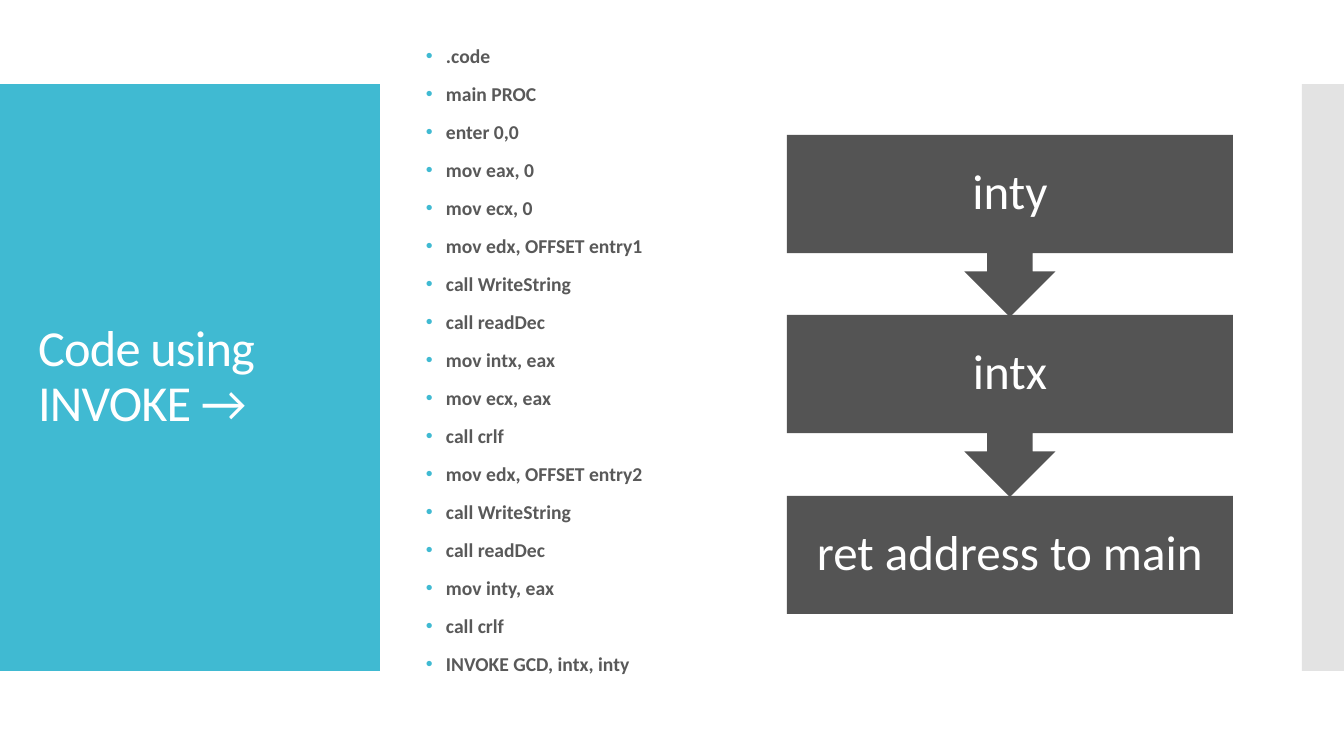
import pptx
import pptx.util
import pptx.dml.color
import pptx.enum.shapes
import pptx.enum.text
import pptx.oxml
import pptx.oxml.ns
from lxml import etree

RGBColor = pptx.dml.color.RGBColor
SHAPES = pptx.enum.shapes.MSO_SHAPE
ALIGN = pptx.enum.text.PP_ALIGN

TEAL = RGBColor(0x40, 0xBA, 0xD2)
PALE_GRAY = RGBColor(0xC8, 0xC8, 0xC8)
DARK_GRAY = RGBColor(0x54, 0x54, 0x54)
CODE_GRAY = RGBColor(0x59, 0x59, 0x59)
WHITE = RGBColor(0xFF, 0xFF, 0xFF)

CODE = """.code
main PROC
enter 0,0
mov eax, 0
mov ecx, 0
mov edx, OFFSET entry1
call WriteString
call readDec
mov intx, eax
mov ecx, eax
call crlf
mov edx, OFFSET entry2
call WriteString
call readDec
mov inty, eax
call crlf
INVOKE GCD, intx, inty"""


def px(*lengths):
    """Turn pixel lengths, 100.8 to the inch, into a list of EMU."""
    return [pptx.util.Emu(round(n * 914400 / 100.8)) for n in lengths]


def add_block(kind, box, color):
    block = slide.shapes.add_shape(kind, *px(*box))
    block.shadow.inherit = False
    block.fill.solid()
    block.fill.fore_color.rgb = color
    block.line.fill.background()
    return block


deck = pptx.Presentation()
deck.slide_width, deck.slide_height = px(1344, 756)
slide = deck.slides.add_slide(deck.slide_layouts[5])

# Side panels
add_block(SHAPES.RECTANGLE, (0, 84, 380, 587), TEAL)
right_panel = add_block(SHAPES.RECTANGLE, (1302, 84, 42, 587), PALE_GRAY)
panel_color = right_panel.fill._xPr.find(".//" + pptx.oxml.ns.qn("a:srgbClr"))
etree.SubElement(panel_color, pptx.oxml.ns.qn("a:alpha"), val="50000")

# Title, raised above its panel
title = slide.shapes.title
slide.shapes._spTree.append(title._element)
title.left, title.top, title.width, title.height = px(28, 124, 325, 507)
title.text_frame.text = "Code using \vINVOKE →"
title.text_frame.auto_size = pptx.enum.text.MSO_AUTO_SIZE.NONE
for run in title.text_frame.paragraphs[0].runs:
    run.font._element.set("spc", "-60")

# Code listing
listing = slide.shapes.add_textbox(*px(416, 62, 817, 598))
listing.text_frame.text = CODE
for number, line in enumerate(listing.text_frame.paragraphs):
    line.space_before = pptx.util.Pt(12 if number else 0)
    properties = line._p.get_or_add_pPr()
    indent = px(20)[0]
    properties.set("marL", str(indent))
    properties.set("indent", str(-indent))
    bullet_color = etree.SubElement(properties, pptx.oxml.ns.qn("a:buClr"))
    etree.SubElement(bullet_color, pptx.oxml.ns.qn("a:srgbClr"), val=str(TEAL))
    etree.SubElement(properties, pptx.oxml.ns.qn("a:buFont"), typeface="Arial")
    etree.SubElement(properties, pptx.oxml.ns.qn("a:buChar"), char="•")

# Stack frame, drawn from the bottom up
stack = []
for step, entry in reversed(list(enumerate(["inty", "intx", "ret address to main"]))):
    is_last = step == 2
    kind = SHAPES.RECTANGLE if is_last else SHAPES.DOWN_ARROW_CALLOUT
    box = (787, 135 + step * 361 // 2, 446, 118 if is_last else 182)
    block = add_block(kind, box, DARK_GRAY)
    if not is_last:
        block.adjustments[3] = 0.65
    block.text_frame.text = entry
    for side in ("left", "top", "right", "bottom"):
        setattr(block.text_frame, f"margin_{side}", px(27)[0])
    stack.append(block)

# Text formats
formats = [
    ([title], ALIGN.LEFT, {"size": pptx.util.Pt(36), "bold": False}, WHITE),
    ([listing], ALIGN.LEFT, {"size": pptx.util.Pt(14), "bold": True}, CODE_GRAY),
    (stack, ALIGN.CENTER, {"size": pptx.util.Pt(35), "bold": False}, WHITE),
]
for parts, alignment, font_values, color in formats:
    for part in parts:
        part.text_frame.word_wrap = True
        part.text_frame.vertical_anchor = pptx.enum.text.MSO_ANCHOR.MIDDLE
        for paragraph in part.text_frame.paragraphs:
            paragraph.alignment = alignment
            paragraph.line_spacing = 0.9
            for run in paragraph.runs:
                run.font.name = "Calibri"
                run.font.color.rgb = color
                for name, value in font_values.items():
                    setattr(run.font, name, value)

deck.save("out.pptx")
